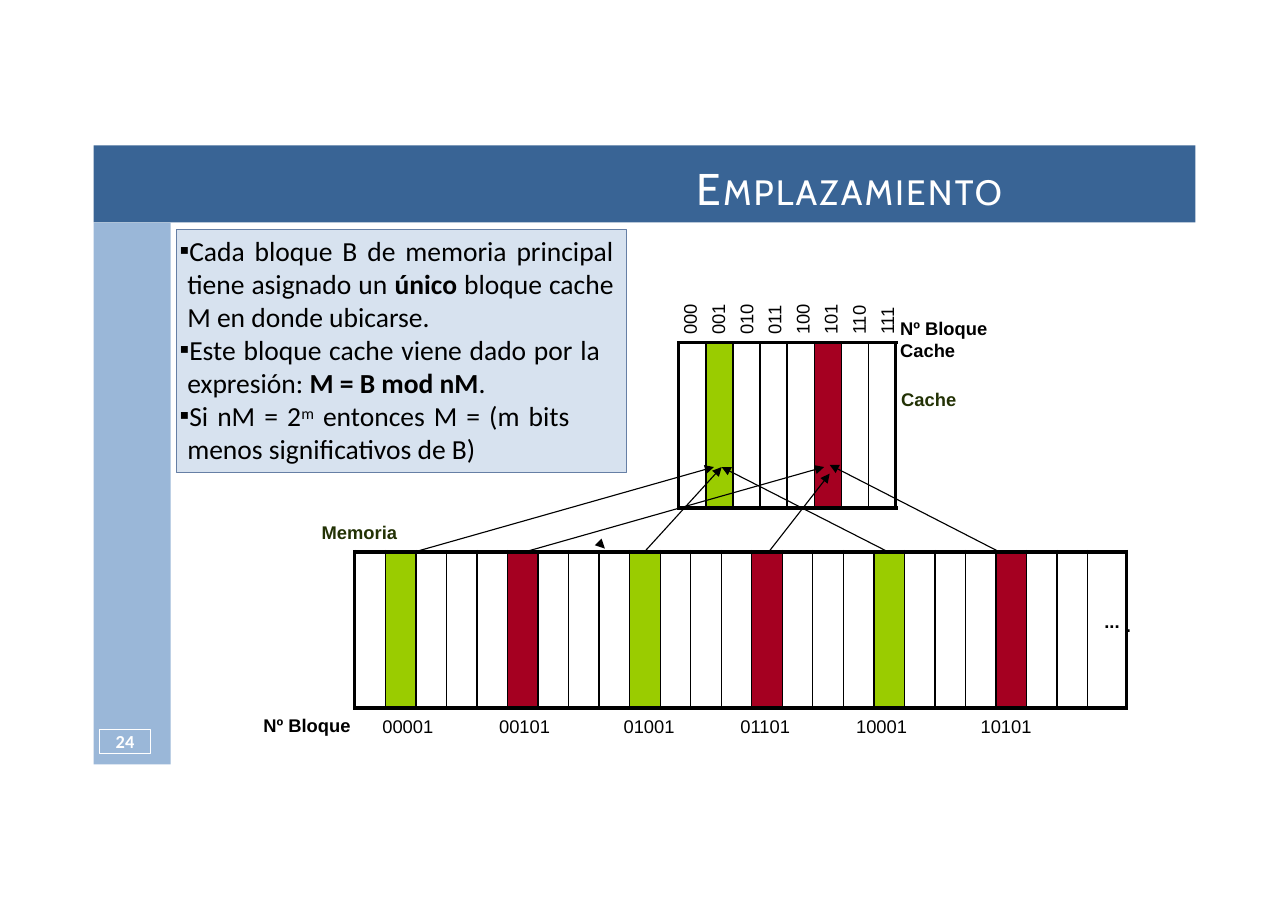
from lxml import etree
from pptx import Presentation
from pptx.dml.color import RGBColor
from pptx.enum.shapes import MSO_CONNECTOR, MSO_SHAPE
from pptx.enum.text import MSO_ANCHOR, MSO_AUTO_SIZE, PP_ALIGN
from pptx.oxml.ns import qn
from pptx.util import Inches, Pt

RECTANGLE = MSO_SHAPE.RECTANGLE
STRAIGHT = MSO_CONNECTOR.STRAIGHT
TOP, MIDDLE = MSO_ANCHOR.TOP, MSO_ANCHOR.MIDDLE
LEFT, CENTER, RIGHT, JUSTIFY = PP_ALIGN.LEFT, PP_ALIGN.CENTER, PP_ALIGN.RIGHT, PP_ALIGN.JUSTIFY
NO_AUTOFIT = MSO_AUTO_SIZE.NONE

COLORS = {
    "header": "396495", "sidebar": "9AB7D8", "panel": "D7E2EF", "panel_line": "667FA5",
    "green": "9ACC00", "red": "A50021", "caption": "233205", "black": "000000", "white": "FFFFFF",
}


def rgb(name):
    return RGBColor.from_string(COLORS[name])


def add_run(paragraph, text, size, font="Arial", color="black", bold=False):
    run = paragraph.add_run()
    run.text = text
    run.font.size = Pt(size)
    run.font.name = font
    run.font.bold = bold
    run.font.color.rgb = rgb(color)
    return run


def set_frame(frame, anchor=TOP, top=0.01):
    frame.word_wrap = True
    frame.auto_size = NO_AUTOFIT
    frame.vertical_anchor = anchor
    frame.margin_left = frame.margin_right = frame.margin_bottom = 0
    frame.margin_top = Inches(top)


def place(shape, box):
    shape.left, shape.top, shape.width, shape.height = map(Inches, box)


def add_block(slide, box, fill, line=None):
    shape = slide.shapes.add_shape(RECTANGLE, *map(Inches, box))
    shape.shadow.inherit = False
    shape.fill.solid()
    shape.fill.fore_color.rgb = rgb(fill)
    if line:
        shape.line.color.rgb = rgb(line)
        shape.line.width = Pt(0.75)
    else:
        shape.line.fill.background()
    return shape


def add_line(slide, start, end, width, arrow=False):
    line = slide.shapes.add_connector(STRAIGHT, *map(Inches, (*start, *end)))
    line.line.color.rgb = rgb("black")
    line.line.width = Pt(width)
    if arrow:
        etree.SubElement(line.line._get_or_add_ln(), qn("a:tailEnd"), type="triangle")
    etree.SubElement(line.element.spPr, qn("a:effectLst"))


def add_label(slide, box, text, color="black", bold=True):
    label = slide.shapes.add_textbox(*map(Inches, box))
    set_frame(label.text_frame)
    paragraph = label.text_frame.paragraphs[0]
    paragraph.space_before = Pt(1)
    add_run(paragraph, text, 12, color=color, bold=bold)


def bring_to_front(shape):
    shape.element.getparent().append(shape.element)


def build_frame(slide, box):
    """Header band with the title, sidebar and page number."""
    left, top, width, height = box
    add_block(slide, (left, top, width, 0.7), "header")
    add_block(slide, (left, top + 0.7, 0.7, height - 0.7), "sidebar")
    number = add_block(slide, (left + 0.05, top + 5.3, 0.47, 0.22), "sidebar", "white")
    set_frame(number.text_frame, MIDDLE, 0)
    paragraph = number.text_frame.paragraphs[0]
    paragraph.alignment = CENTER
    add_run(paragraph, "24", 12, "Calibri", "white", True)

    title = slide.shapes.title
    place(title, (left + 5.47, top + 0.13, 4.26, 0.51))
    bring_to_front(title)
    set_frame(title.text_frame)
    paragraph = title.text_frame.paragraphs[0]
    paragraph.alignment = LEFT
    for text, size in (("E", 29), ("MPLAZAMIENTO", 23)):
        run = add_run(paragraph, text, size, "Cabin", "white")
        run.font._element.set("spc", "140")


def build_rules(slide, box):
    """Panel with the placement rules."""
    left, top, width, height = box
    add_block(slide, box, "panel", "panel_line")
    body = slide.placeholders[1]
    place(body, (left + 0.03, top + 0.03, width - 0.1, height - 0.08))
    bring_to_front(body)
    frame = body.text_frame
    set_frame(frame)
    # Each rule: right indent in inches, then runs of (text, style)
    rules = [
        (0.05, [("Cada bloque B de memoria principal tiene asignado un ", ""), ("único", "bold"),
                (" bloque cache M en donde ubicarse.", "")]),
        (0.17, [("Este bloque cache viene dado por la expresión: ", ""),
                ("M = B mod nM", "bold"), (".", "")]),
        (0.45, [("Si nM = 2", ""), ("m", "super"),
                (" entonces M = (m bits menos significativos de B)", "")]),
    ]
    for index, (right_indent, runs) in enumerate(rules):
        paragraph = frame.add_paragraph() if index else frame.paragraphs[0]
        paragraph.alignment = JUSTIFY
        paragraph.space_before = Pt(0)
        properties = paragraph._p.get_or_add_pPr()
        properties.set("marL", str(Inches(0.07)))
        properties.set("marR", str(Inches(right_indent)))
        properties.set("indent", str(-Inches(0.07)))
        etree.SubElement(properties, qn("a:buChar"), char="▪")
        for text, style in runs:
            run = add_run(paragraph, text, 18, "Calibri", bold=style == "bold")
            if style == "super":
                run.font._element.set("baseline", "25000")


def build_cache(slide, box):
    """Cache of eight blocks with binary numbers above."""
    left, top, width, height = box
    right, bottom, step = left + width, top + height, width / 8
    for block, color in ((1, "green"), (5, "red")):
        add_block(slide, (left + block * step, top, step, height), color)
    for edge in range(9):
        x = left + edge * step
        add_line(slide, (x, top - 0.01), (x, bottom + 0.02), 2.25 if edge in (0, 8) else 1)
    for y in (top, bottom):
        add_line(slide, (left - 0.01, y), (right + 0.02, y), 2.25)

    numbers = slide.shapes.add_textbox(*map(Inches, (left, top - 0.39, 2, 0.32)))
    frame = numbers.text_frame
    set_frame(frame, top=0)
    frame._txBody.bodyPr.set("vert", "vert270")
    for block in range(8):
        paragraph = frame.add_paragraph() if block else frame.paragraphs[0]
        paragraph.space_before = Pt(4 if block else 0)
        add_run(paragraph, f"{block:03b}", 12)
    add_label(slide, (right + 0.04, top - 0.24, 0.82, 0.43), "Nº Bloque Cache")
    add_label(slide, (right + 0.05, top + 0.4, 0.53, 0.23), "Cache", "caption")


def set_borders(cell, widths):
    properties = cell._tc.get_or_add_tcPr()
    for position, (side, width) in enumerate(widths.items()):
        border = etree.Element(qn(f"a:ln{side}"), w=str(Pt(width)))
        fill = etree.SubElement(border, qn("a:solidFill"))
        etree.SubElement(fill, qn("a:srgbClr"), val=COLORS["black"])
        properties.insert(position, border)


def build_memory(slide, box):
    """Main memory row, with its block numbers below."""
    left, top, width, height = box
    count, last_width = 25, 0.35
    table = slide.shapes.add_table(1, count, *map(Inches, box)).table
    table.first_row = table.horz_banding = False
    table.rows[0].height = Inches(height)
    for index in range(count):
        last = index == count - 1
        table.columns[index].width = Inches(last_width if last else (width - last_width) / (count - 1))
        cell = table.cell(0, index)
        cell.margin_left = cell.margin_right = cell.margin_top = cell.margin_bottom = 0
        if index % 4 == 1 and not last:
            cell.fill.solid()
            cell.fill.fore_color.rgb = rgb("green" if index % 8 == 1 else "red")
        else:
            cell.fill.background()
        set_borders(cell, {"L": 1 if index else 2.25, "R": 2.25 if last else 1, "T": 3, "B": 3})
    cell.margin_top, cell.margin_right = Inches(0.54), Inches(0.06)
    paragraph = cell.text_frame.paragraphs[0]
    paragraph.alignment = RIGHT
    add_run(paragraph, "...", 12, bold=True)

    add_label(slide, (left + width - 0.01, top + 0.56, 0.07, 0.23), ".")
    add_label(slide, (left - 0.3, top - 0.29, 0.71, 0.23), "Memoria", "caption")
    add_label(slide, (left - 0.83, top + 1.46, 0.82, 0.23), "Nº Bloque")
    for index, offset in enumerate((0.25, 1.31, 2.44, 3.5, 4.55, 5.68)):
        add_label(slide, (left + offset, top + 1.47, 0.49, 0.23), f"{4 * index + 1:05b}", bold=False)


def build_arrows(slide, box):
    """Arrows from the memory blocks up to their cache block."""
    left, top, width, height = box
    bottom = top + height
    arrows = [(0, 2.75, 0.02), (1, 3.75, 0.02), (2.11, 2.82, 0.02),
              (3.24, 3.8, 0.08), (4.35, 2.82, 0.02), (width, 3.8, 0)]
    for start, end, drop in arrows:
        add_line(slide, (left + start, bottom), (left + end, top + drop), 0.75, arrow=True)
    # Loose arrowhead
    points = [(left + x, top + y) for x, y in ((1.76, 0.76), (1.73, 0.67), (1.67, 0.73))]
    first, *others = [tuple(map(Inches, point)) for point in points]
    builder = slide.shapes.build_freeform(*first)
    builder.add_line_segments(others)
    head = builder.convert_to_shape()
    head.shadow.inherit = False
    head.fill.solid()
    head.fill.fore_color.rgb = rgb("black")
    head.line.fill.background()


def main():
    presentation = Presentation()
    presentation.slide_width, presentation.slide_height = Inches(11.69), Inches(8.27)
    slide = presentation.slides.add_slide(presentation.slide_layouts[1])
    build_frame(slide, (0.85, 1.32, 10, 5.62))
    build_rules(slide, (1.6, 2.08, 4.09, 2.21))
    build_cache(slide, (6.16, 3.11, 1.97, 1.5))
    build_memory(slide, (3.22, 5.01, 7.01, 1.42))
    build_arrows(slide, (3.73, 4.22, 5.36, 0.8))
    presentation.save("out.pptx")


if __name__ == "__main__":
    main()
